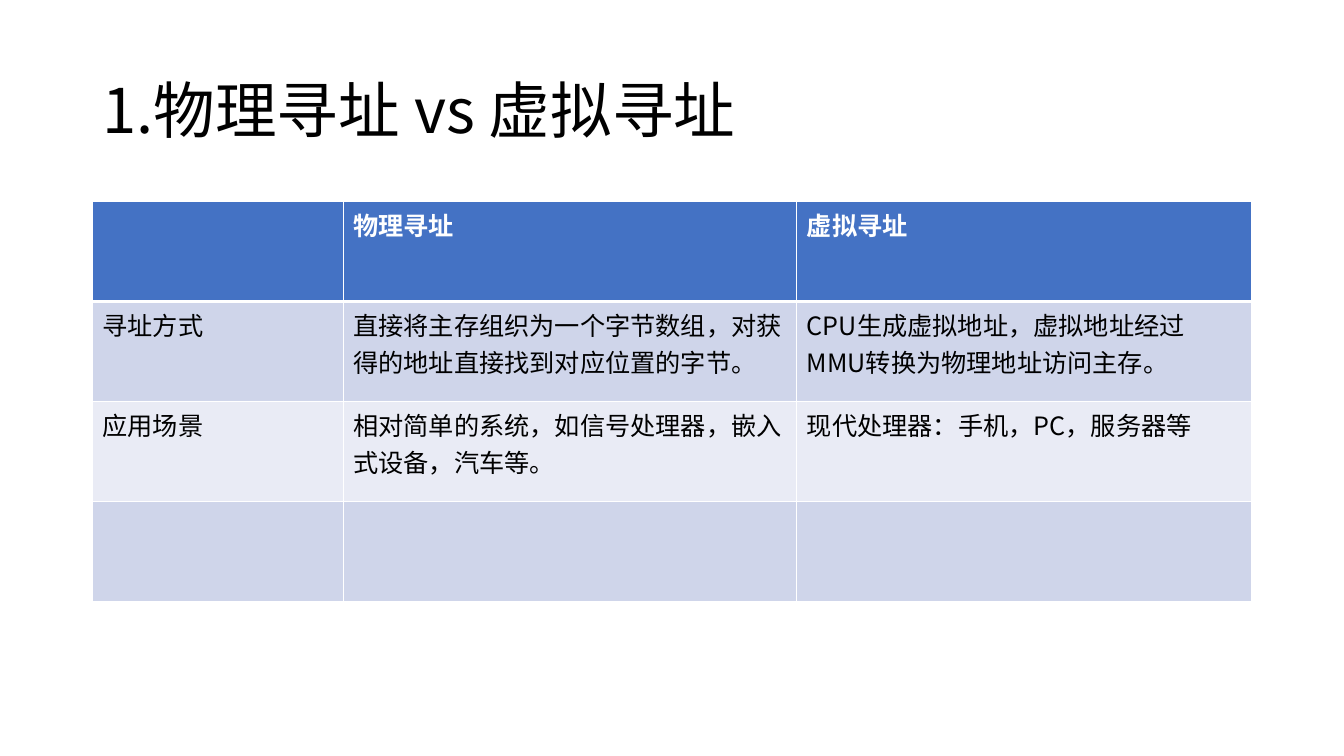
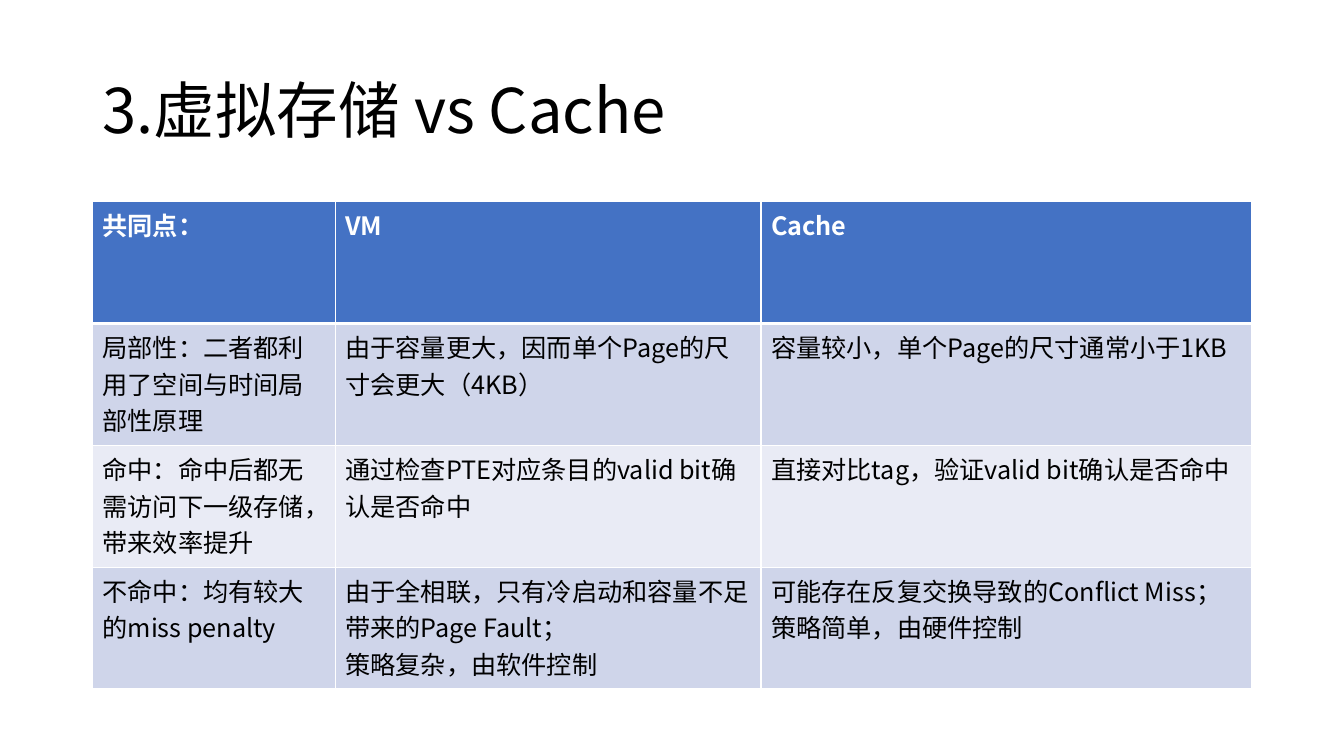
from lxml import etree
from pptx import Presentation
from pptx.dml.color import RGBColor
from pptx.enum.text import MSO_ANCHOR
from pptx.oxml.ns import qn
from pptx.util import Cm, Pt

MIDDLE = MSO_ANCHOR.MIDDLE
FACE = "Noto Sans CJK SC"
HEX = {"head": "4472C4", "odd": "CFD5EA", "even": "E9EBF5",
       "ink": "000000", "paper": "FFFFFF"}
LEFT, WIDTH = 2.33, 29.21


class Deck:
    def __init__(self):
        self.show = Presentation()
        self.show.slide_width = Cm(33.87)
        self.show.slide_height = Cm(19.05)
        self.slide = None

    def page(self):
        self.slide = self.show.slides.add_slide(self.show.slide_layouts[6])

    def color(self, name):
        return RGBColor.from_string(HEX[name])

    def label(self, frame, text, ink, **look):
        frame.text = text
        for para in frame.paragraphs:
            for run in para.runs:
                for key, value in {"name": FACE, **look}.items():
                    setattr(run.font, key, value)
                run.font.color.rgb = self.color(ink)
                # East Asian glyphs take their face from a:ea
                east = etree.SubElement(run.font._element, qn("a:ea"))
                east.set("typeface", FACE)

    def title(self, text):
        box = self.slide.shapes.add_textbox(
            Cm(LEFT), Cm(1.01), Cm(WIDTH), Cm(3.68))
        frame = box.text_frame
        frame.word_wrap = True
        frame.vertical_anchor = MIDDLE
        self.label(frame, text, "ink", size=Pt(44))
        frame.paragraphs[0].line_spacing = 0.9

    def edge(self, cell, side, width):
        """Draw one border of a cell; call before the fill is set."""
        line = etree.SubElement(cell._tc.get_or_add_tcPr(),
                                qn("a:ln" + side), w=str(Pt(width)))
        fill = etree.SubElement(line, qn("a:solidFill"))
        etree.SubElement(fill, qn("a:srgbClr"), val=HEX["paper"])

    def table(self, rows, widths, height):
        grid = self.slide.shapes.add_table(
            len(rows), len(widths), Cm(LEFT), Cm(5.08),
            Cm(WIDTH), Cm(height * len(rows))).table
        for col, width in zip(grid.columns, widths):
            col.width = Cm(width)
        for r, texts in enumerate(rows):
            grid.rows[r].height = Cm(height)
            head = r == 0
            band = "head" if head else ("even", "odd")[r % 2]
            edges = {"L": 1, "R": 1, "T": 3 if r == 1 else 1,
                     "B": 3 if head else 1}
            for c, text in enumerate(texts):
                cell = grid.cell(r, c)
                for side, width in edges.items():
                    self.edge(cell, side, width)
                cell.fill.solid()
                cell.fill.fore_color.rgb = self.color(band)
                self.label(cell.text_frame, text,
                           "paper" if head else "ink",
                           size=Pt(18), bold=head)


PAGES = [
    ("1.物理寻址 vs 虚拟寻址", (6.32, 11.43, 11.46), 2.52, [
        ("", "物理寻址", "虚拟寻址"),
        ("寻址方式",
         "直接将主存组织为一个字节数组，对获得的地址直接找到对应位置的字节。",
         "CPU生成虚拟地址，虚拟地址经过MMU转换为物理地址访问主存。"),
        ("应用场景",
         "相对简单的系统，如信号处理器，嵌入式设备，汽车等。",
         "现代处理器：手机，PC，服务器等"),
        ("", "", ""),
    ]),
    ("3.虚拟存储 vs Cache", (6.12, 10.73, 12.36), 3.07, [
        ("共同点：", "VM", "Cache"),
        ("局部性：二者都利用了空间与时间局部性原理",
         "由于容量更大，因而单个Page的尺寸会更大（4KB）",
         "容量较小，单个Page的尺寸通常小于1KB"),
        ("命中：命中后都无需访问下一级存储，带来效率提升",
         "通过检查PTE对应条目的valid bit确认是否命中",
         "直接对比tag，验证valid bit确认是否命中"),
        ("不命中：均有较大的miss penalty",
         "由于全相联，只有冷启动和容量不足带来的Page Fault；\n策略复杂，由软件控制",
         "可能存在反复交换导致的Conflict Miss；\n策略简单，由硬件控制"),
    ]),
]


def main():
    deck = Deck()
    for title, widths, height, rows in PAGES:
        deck.page()
        deck.title(title)
        deck.table(rows, widths, height)
    deck.show.save("out.pptx")


if __name__ == "__main__":
    main()
